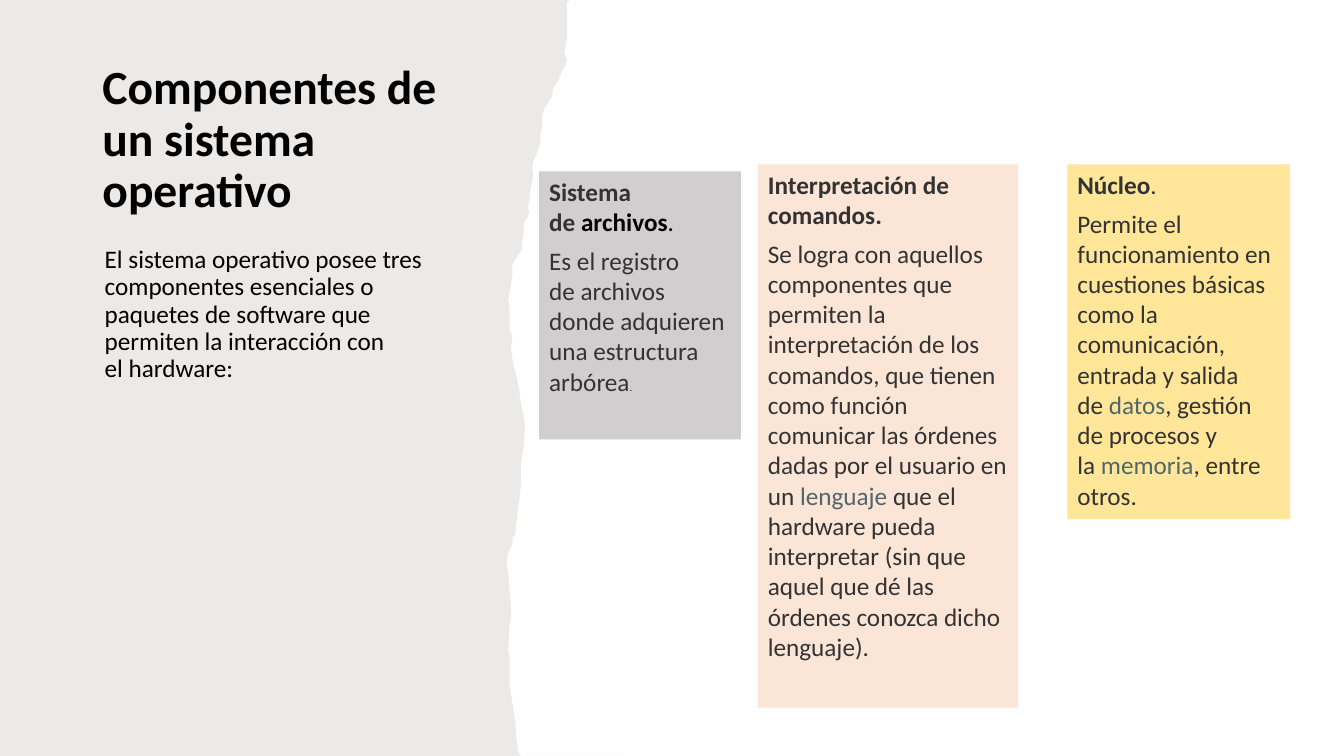
from pptx import Presentation
from pptx.dml.color import RGBColor
from pptx.enum import shapes, text
from pptx.oxml.ns import qn
from pptx.util import Pt
from lxml import etree


def color(target, hex_code):
    if hasattr(target, "solid"):
        target.solid()
        target = target.fore_color
    else:
        target = target.color
    target.rgb = RGBColor.from_string(hex_code)


def add_runs(p, runs, space_after):
    p.space_after = Pt(space_after)
    for words, size, hex_code, bold in runs:
        r = p.add_run()
        r.text = words
        r.font.name, r.font.size, r.font.bold = "Calibri", Pt(size), bold
        color(r.font, hex_code)


BLACK, DARK, LINK = "000000", "333333", "51666C"

prs = Presentation()
prs.slide_width, prs.slide_height = Pt(960), Pt(540)
s = prs.slides.add_slide(prs.slide_layouts[5])

# Torn paper panel: right edge from top to bottom
torn_edge = [
    (406.8, 0), (405.4, 1.5), (404.6, 10), (404.6, 28), (403.2, 37.5),
    (404.6, 42), (403.5, 46), (399.6, 54), (399.4, 57), (397, 60),
    (395.3, 64), (393.8, 70), (388.8, 77), (387.4, 83.5), (387.4, 91.5),
    (385.9, 95), (385.9, 102), (383, 111), (381, 115), (380.2, 120),
    (380.9, 124.6), (380.2, 129.6), (378.7, 135.4), (378.5, 144), (377.3, 147),
    (378.5, 151), (377.3, 154.8), (374.4, 159), (373.7, 166.3), (372.6, 172.8),
    (372.6, 178), (369.4, 183.6), (366.5, 189.4), (365.8, 196.6), (364.8, 203),
    (362.9, 213.8), (363.6, 220), (364.3, 229), (364, 235.4), (366.2, 241.2),
    (365, 248.4), (366.2, 256.3), (367.2, 262), (369.4, 268.6), (370, 275),
    (371.2, 279.4), (371.8, 288), (373.7, 297.4), (375.1, 305.3), (374.4, 319),
    (371.5, 332), (372.2, 347), (371.4, 357), (370, 364.3), (369.4, 373),
    (367.9, 381.6), (366, 384), (366, 388), (362.9, 394.6), (362.2, 402.5),
    (363.4, 410.4), (365, 430.6), (365, 440.6), (363.6, 446.4), (362.9, 465),
    (364.3, 470), (364.3, 490.3), (366.5, 501.8), (368, 514.8), (369.4, 527.8),
    (370, 537), (371.5, 540), (445, 540), (0, 540),
]
builder = s.shapes.build_freeform(0, 0, scale=Pt(1))
builder.add_line_segments(torn_edge, close=True)
panel = builder.convert_to_shape()
panel.shadow.inherit = False
panel.line.fill.background()
color(panel.fill, "82766A")
srgb = panel._element.spPr.find(qn("a:solidFill")).find(qn("a:srgbClr"))
etree.SubElement(srgb, qn("a:alpha"), val="15000")

# Title, drawn above the panel
title = s.shapes.title
s.shapes._spTree.append(title._element)
title.left, title.top, title.width, title.height = Pt(66), Pt(48), Pt(294.5), Pt(105)
tf = title.text_frame
tf.word_wrap = True
tf.auto_size = text.MSO_AUTO_SIZE.NONE
tf.vertical_anchor = text.MSO_ANCHOR.MIDDLE
p = tf.paragraphs[0]
p.alignment, p.line_spacing = text.PP_ALIGN.LEFT, 0.9
add_runs(p, [("Componentes de un sistema operativo", 34, BLACK, True)], 0)

# Introduction
tf = s.shapes.add_textbox(Pt(67.7), Pt(172.8), Pt(270), Pt(129.6)).text_frame
tf.word_wrap = True
p = tf.paragraphs[0]
p.line_spacing = 0.9
add_runs(p, [("El sistema operativo\u00a0posee tres componentes esenciales\u00a0o paquetes "
              "de\u00a0software\u00a0que permiten la interacción con el\u00a0hardware:",
              18, BLACK, False)], 6)

# Component cards: box, fill, heading runs, description runs
cards = [
    ((762.5, 117.4, 159, 253.4), "FFE699",
     [("Núcleo", 18, DARK, True), (".\u00a0", 18, DARK, False)],
     [("Permite el funcionamiento en cuestiones básicas como la comunicación, "
       "entrada y salida de\u00a0", 18, DARK, False),
      ("datos", 18, LINK, False),
      (", gestión de procesos y la\u00a0", 18, DARK, False),
      ("memoria", 18, LINK, False),
      (", entre otros.", 18, DARK, False)]),
    ((385.2, 122.4, 144, 191.5), "D0CECE",
     [("Sistema de\u00a0", 18, DARK, True), ("archivos", 18, BLACK, True),
      (".", 18, BLACK, False)],
     [("Es el registro de\u00a0archivos donde adquieren una estructura arbórea",
       18, DARK, False),
      (".", 7.8, DARK, False)]),
    ((541.4, 117.4, 185.8, 388), "FBE5D6",
     [("Interpretación de comandos.\u00a0", 18, DARK, True)],
     [("Se logra con aquellos componentes que permiten la interpretación de los "
       "comandos, que tienen como función comunicar las órdenes dadas por el "
       "usuario en un\u00a0", 18, DARK, False),
      ("lenguaje", 18, LINK, False),
      ("\u00a0que el hardware pueda interpretar (sin que aquel que dé las órdenes "
       "conozca dicho lenguaje).", 18, DARK, False)]),
]
for box, fill, heading, description in cards:
    sp = s.shapes.add_shape(shapes.MSO_SHAPE.RECTANGLE, *[Pt(v) for v in box])
    sp.shadow.inherit = False
    sp.line.fill.background()
    color(sp.fill, fill)
    tf = sp.text_frame
    tf.word_wrap = True
    tf.vertical_anchor = text.MSO_ANCHOR.TOP
    for p, runs in ((tf.paragraphs[0], heading), (tf.add_paragraph(), description)):
        p.alignment = text.PP_ALIGN.LEFT
        add_runs(p, runs, 5.9)

prs.save("out.pptx")
